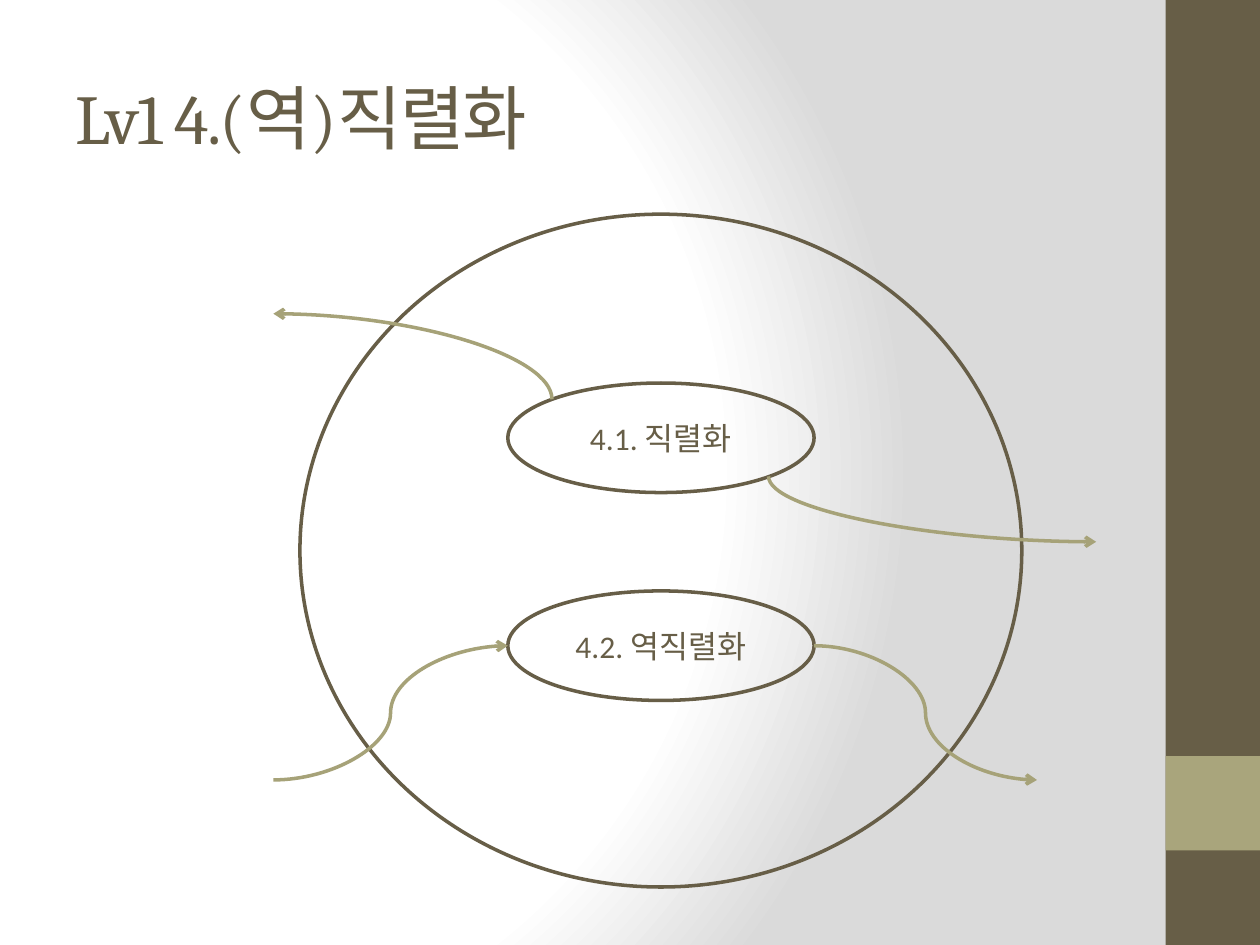
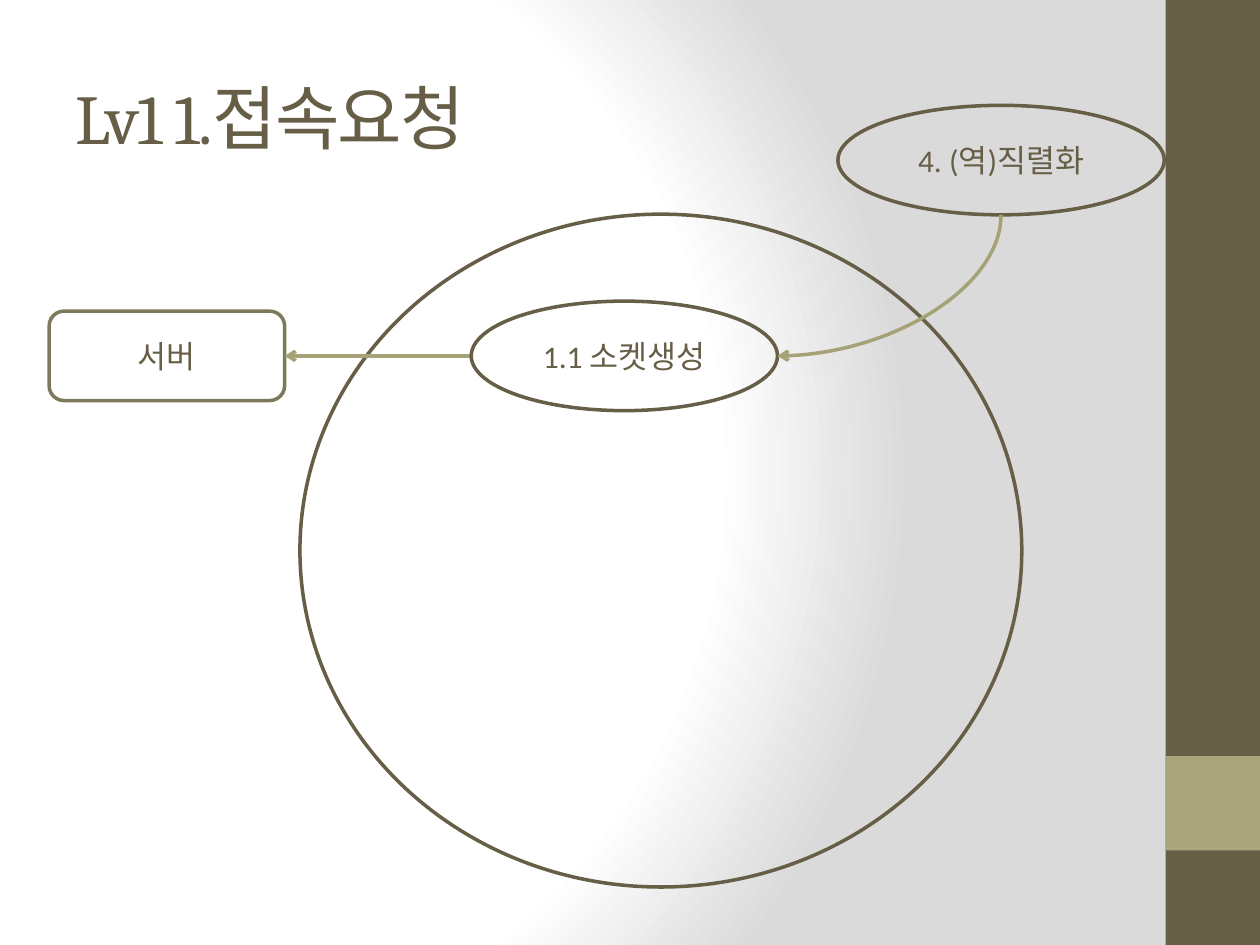
from lxml.etree import SubElement
from pptx import Presentation
from pptx.dml.color import RGBColor
from pptx.enum.shapes import MSO_CONNECTOR, MSO_SHAPE
from pptx.enum.text import MSO_ANCHOR, PP_ALIGN
from pptx.oxml import parse_xml
from pptx.oxml.ns import nsdecls, qn
from pptx.util import Pt

BROWN, SAND, OLIVE, ARROW = "675E47", "A9A57C", "7D7A5C", "A6A278"
TITLE_FONT, BODY_FONT = "Cambria", "Calibri"
NODE_W, NODE_H = 175, 62.6
BACKGROUND = f"""<p:bg {nsdecls("p", "a")}><p:bgPr><a:gradFill rotWithShape="1"><a:gsLst>
<a:gs pos="0"><a:srgbClr val="FFFFFF"/></a:gs>
<a:gs pos="75000"><a:srgbClr val="FFFFFF"/></a:gs>
<a:gs pos="100000"><a:srgbClr val="DADADA"/></a:gs></a:gsLst>
<a:path path="circle"><a:fillToRect l="20000" t="50000" r="100000" b="50000"/></a:path>
</a:gradFill><a:effectLst/></p:bgPr></p:bg>"""


def rgb(color):
    """Turn a hex string into a colour."""
    return RGBColor.from_string(color)


def style_text(tf, font, size, align):
    """Format the only paragraph of a text frame."""
    tf.word_wrap = True
    tf.vertical_anchor = MSO_ANCHOR.MIDDLE
    p = tf.paragraphs[0]
    p.alignment = align
    r = p.runs[0]
    r.font.name, r.font.size = font, Pt(size)
    r.font.color.rgb = rgb(BROWN)
    return r


def add_shape(slide, kind, x, y, w, h, fill=None, line=None, text=None):
    """Add a preset shape with an optional fill, outline and label."""
    sp = slide.shapes.add_shape(kind, Pt(x), Pt(y), Pt(w), Pt(h))
    sp.shadow.inherit = False
    if fill:
        sp.fill.solid()
        sp.fill.fore_color.rgb = rgb(fill)
    else:
        sp.fill.background()
    if line:
        sp.line.color.rgb = rgb(line)
        sp.line.width = Pt(2)
    else:
        sp.line.fill.background()
    if text:
        sp.text_frame.text = text
        style_text(sp.text_frame, BODY_FONT, 18, PP_ALIGN.CENTER)
    return sp


def add_process(slide, x, y, text, w=NODE_W):
    """Add a labelled process ellipse."""
    add_shape(slide, MSO_SHAPE.OVAL, x, y, w, NODE_H, line=BROWN, text=text)


def add_arrow(slide, x1, y1, x2, y2, kind=MSO_CONNECTOR.CURVE):
    """Add a connector with an arrowhead at its end."""
    c = slide.shapes.add_connector(kind, Pt(x1), Pt(y1), Pt(x2), Pt(y2))
    c.line.color.rgb = rgb(ARROW)
    c.line.width = Pt(2)
    SubElement(c.line._get_or_add_ln(), qn("a:tailEnd"), type="arrow")
    SubElement(c.element.spPr, qn("a:effectLst"))
    return c


def add_bend(slide, x1, y1, x2, y2, rotation, flip=None):
    """Add a quarter-curve arrow that leaves vertically and arrives horizontally."""
    w, h = abs(y2 - y1), abs(x2 - x1)
    left, top = (x1 + x2 - w) / 2, (y1 + y2 - h) / 2
    c = add_arrow(slide, left, top, left + w, top + h)
    c.rotation = rotation
    c.element.spPr.find(qn("a:prstGeom")).set("prst", "curvedConnector2")
    if flip:
        c.element.spPr.find(qn("a:xfrm")).set(flip, "1")


def decorate_master(prs, slide):
    """Give the master its gradient background and right-hand bands."""
    master = prs.slide_master
    c_sld = master.element.cSld
    old = c_sld.find(qn("p:bg"))
    if old is not None:
        c_sld.remove(old)
    c_sld.insert(0, parse_xml(BACKGROUND))
    bands = [(0, 540, BROWN), (432, 54, SAND)]
    for i, (y, h, color) in enumerate(bands):
        sp = add_shape(slide, MSO_SHAPE.RECTANGLE, 666, y, 54, h, fill=color)
        sp.element.nvSpPr.cNvPr.set("id", str(100 + i))
        master.shapes.element.insert(2 + i, sp.element)


def add_diagram_slide(prs, title):
    """Add a titled slide with the large system circle."""
    slide = prs.slides.add_slide(prs.slide_layouts[5])
    sp = slide.shapes.title
    sp.left, sp.top, sp.width, sp.height = Pt(36), Pt(21.6), Pt(600), Pt(90)
    sp.text_frame.text = title
    r = style_text(sp.text_frame, TITLE_FONT, 40, PP_ALIGN.LEFT)
    r.font._element.set("spc", "-100")
    add_shape(slide, MSO_SHAPE.OVAL, 171.4, 122.4, 412.5, 384.5, line=BROWN)
    return slide


def add_serialization(prs):
    """Build the serialization slide."""
    slide = add_diagram_slide(prs, "Lv1 4.(역)직렬화")
    add_process(slide, 290.2, 337.7, "4.2. 역직렬화")
    add_process(slide, 290.2, 218.9, "4.1. 직렬화")
    add_arrow(slide, 156.2, 445.7, 290.2, 369)
    add_bend(slide, 315.4, 228.2, 156.2, 179.3, 270, "flipV")
    add_arrow(slide, 465.2, 369, 592.6, 445.7)
    add_bend(slide, 439.2, 272.2, 626.4, 309.6, 270, "flipH")
    return slide


def add_connection_request(prs):
    """Build the connection request slide."""
    slide = add_diagram_slide(prs, "Lv1 1.접속요청")
    add_shape(slide, MSO_SHAPE.ROUNDED_RECTANGLE, 28.1, 177.8, 134.6, 51.1,
              line=OLIVE, text="서버")
    add_arrow(slide, 269.3, 203.4, 162.7, 203.4, MSO_CONNECTOR.STRAIGHT)
    add_process(slide, 269.3, 172.1, "1.1 소켓생성")
    add_process(slide, 478.8, 60.2, "4. (역)직렬화", w=186.5)
    add_bend(slide, 572, 122.8, 444.3, 203.4, 90)


def main():
    """Build and save the presentation."""
    prs = Presentation()
    prs.slide_width, prs.slide_height = Pt(720), Pt(540)
    slide = add_serialization(prs)
    decorate_master(prs, slide)
    add_connection_request(prs)
    prs.save("out.pptx")


if __name__ == "__main__":
    main()
